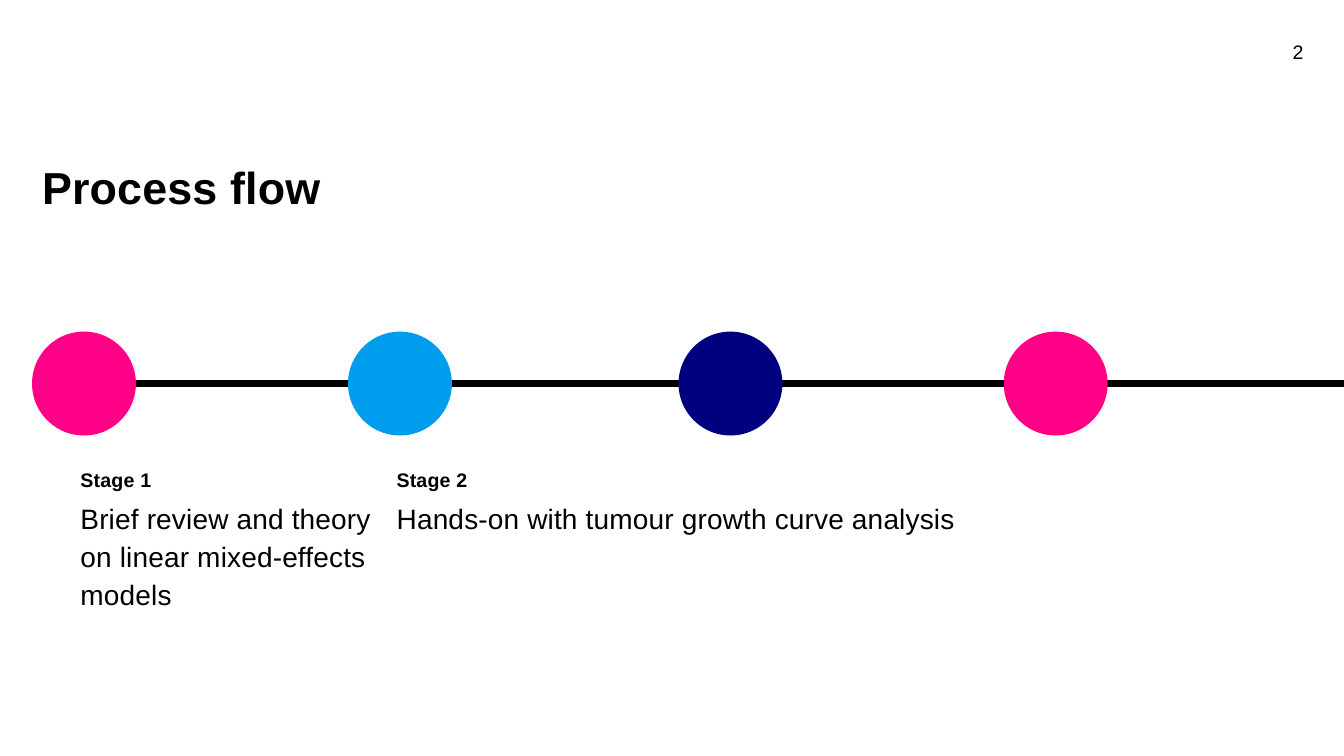
"""Build the process flow slide."""
from pptx import Presentation
from pptx.dml.color import RGBColor
from pptx.enum import shapes, text
from pptx.util import Pt
from lxml import etree

BLACK = RGBColor(0, 0, 0)
PINK = RGBColor(0xFF, 0x00, 0x87)
BLUE = RGBColor(0x00, 0x9C, 0xEE)
NAVY = RGBColor(0x00, 0x00, 0x7E)
NS = "http://schemas.openxmlformats.org/drawingml/2006/main"

deck = Presentation()
deck.slide_width, deck.slide_height = Pt(960), Pt(540)
slide = deck.slides.add_slide(deck.slide_layouts[6])


def label(words, left, top, width, height, size, pitch, bold=False, gap="10"):
    """Add a text box with one paragraph."""
    box = slide.shapes.add_textbox(Pt(left), Pt(top), Pt(width), Pt(height))
    frame = box.text_frame
    frame.word_wrap = True
    para = frame.paragraphs[0]
    run = para.add_run()
    run.text = words
    run._r.get_or_add_rPr().set("spc", gap)
    para.line_spacing = Pt(pitch)
    font = para.font
    font.name, font.size, font.bold = "Arial", Pt(size), bold
    font.color.rgb = BLACK
    return frame


axis = slide.shapes.add_connector(
    shapes.MSO_CONNECTOR.STRAIGHT, Pt(53.3), Pt(274), Pt(960), Pt(274))
axis.line.color.rgb = BLACK
axis.line.width = Pt(4.5)
etree.SubElement(axis._element.spPr, f"{{{NS}}}effectLst")

label("Process flow", 23, 106.5, 536, 74, 32, 42.2, True)

stages = [
    ("Stage 1", "Brief review and theory on linear mixed-effects models", 50.4, 225.4),
    ("Stage 2", "Hands-on with tumour growth curve analysis", 276.2, 434),
]
for name, body, left, width in stages:
    label(name, left, 328.3, 102, 21.6, 14, 19, True)
    label(body, left, 351.4, width, 146, 20, 27.1)

page = label("2", 891.4, 21.6, 46.8, 28.8, 14, 18.8, gap="0")
page.vertical_anchor = text.MSO_ANCHOR.MIDDLE
page.paragraphs[0].alignment = text.PP_ALIGN.RIGHT

for left, color in [(22.9, PINK), (248.6, BLUE), (484.7, NAVY), (717, PINK)]:
    dot = slide.shapes.add_shape(
        shapes.MSO_SHAPE.OVAL, Pt(left), Pt(236.9), Pt(74.2), Pt(74.2))
    dot.shadow.inherit = False
    dot.fill.solid()
    dot.fill.fore_color.rgb = color
    dot.line.fill.background()

deck.save("out.pptx")
